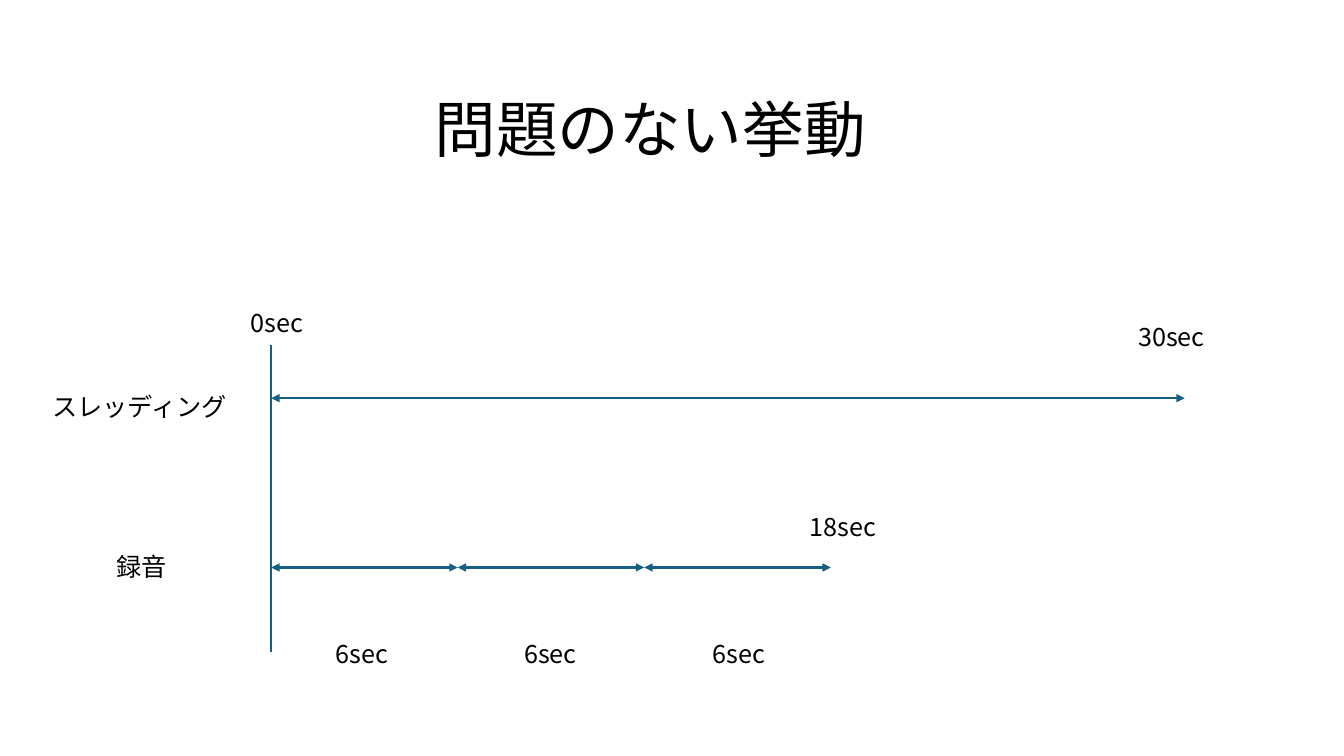
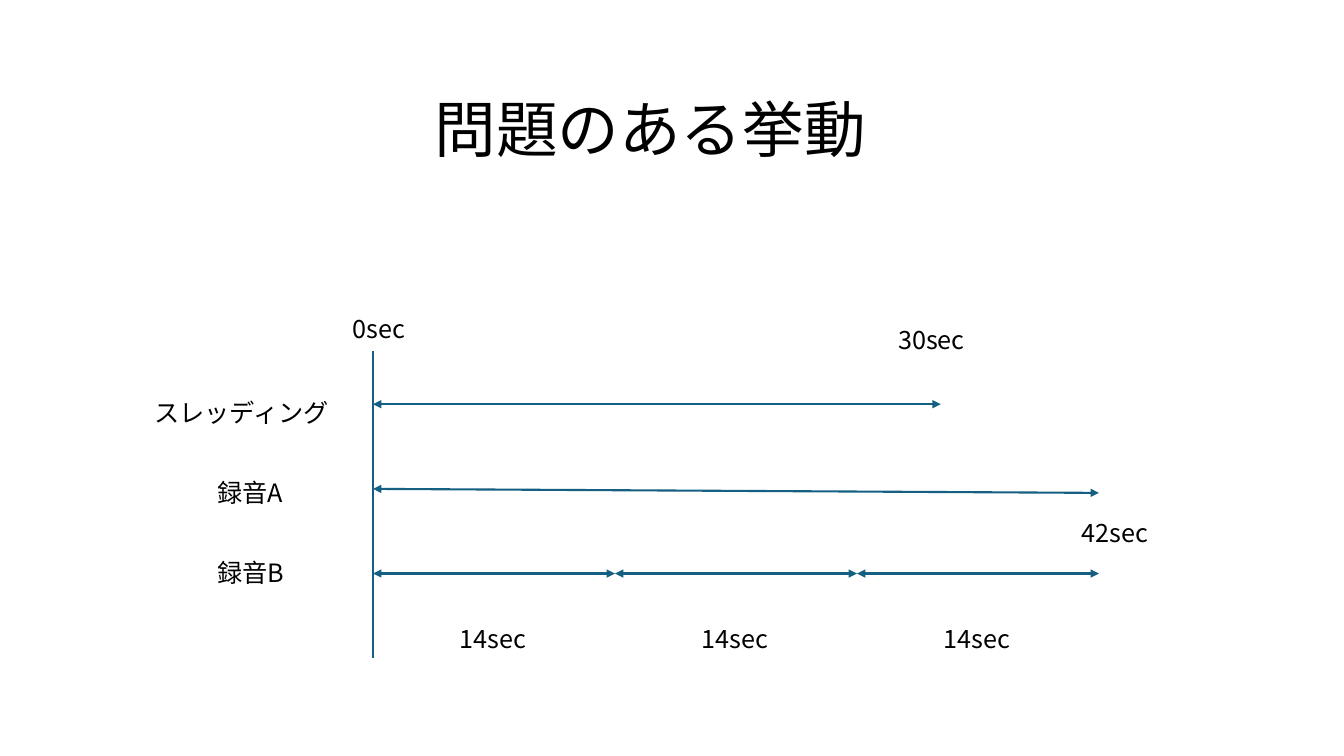
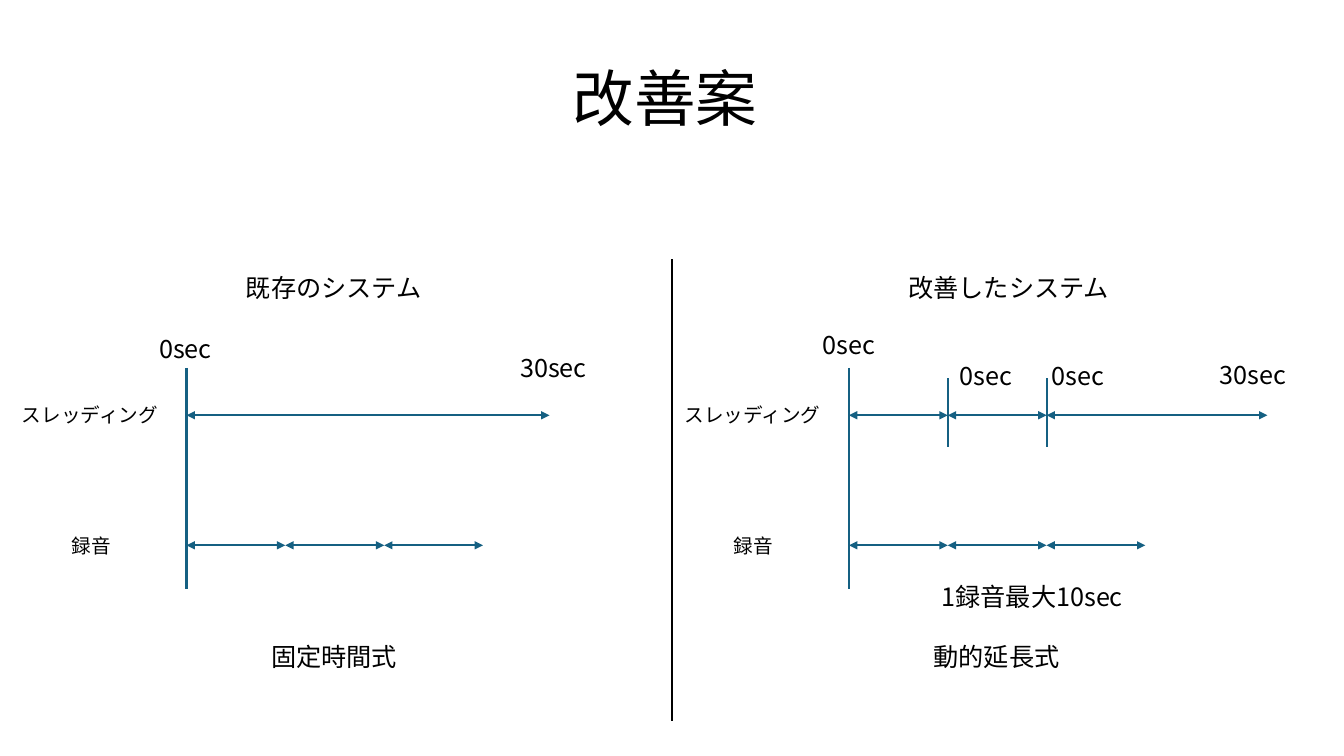
from itertools import accumulate, pairwise

from lxml.etree import SubElement
from pptx import Presentation
from pptx.dml.color import RGBColor
from pptx.enum.shapes import MSO_CONNECTOR
from pptx.enum.text import MSO_ANCHOR, MSO_AUTO_SIZE, PP_ALIGN
from pptx.oxml.ns import qn
from pptx.util import Inches, Pt

FONT = "Noto Sans CJK JP"
BLACK = RGBColor(0x00, 0x00, 0x00)
TEAL = RGBColor(0x15, 0x60, 0x82)
SLIDE_WIDTH, SLIDE_HEIGHT = 13.33, 7.5
TITLE_SIZE, LABEL_SIZE, SMALL_SIZE = 44, 18, 14
TITLE_HEIGHT, LABEL_HEIGHT = 0.84, 0.4
THREADING, RECORDING = "スレッディング", "録音"


def write(shape, text, size):
    frame = shape.text_frame
    frame.text = text
    frame.word_wrap = True
    frame.auto_size = MSO_AUTO_SIZE.NONE
    frame.vertical_anchor = MSO_ANCHOR.TOP
    paragraph = frame.paragraphs[0]
    paragraph.alignment = PP_ALIGN.LEFT
    font = paragraph.runs[0].font
    font.size = Pt(size)
    font.color.rgb = BLACK
    font.name = FONT
    SubElement(paragraph.runs[0].font._element, qn("a:ea"), typeface=FONT)


def add_titled_slide(presentation, text, left, top, width):
    slide = presentation.slides.add_slide(presentation.slide_layouts[5])
    title = slide.shapes.title
    title.left, title.top = Inches(left), Inches(top)
    title.width, title.height = Inches(width), Inches(TITLE_HEIGHT)
    write(title, text, TITLE_SIZE)
    return slide


def add_label(slide, text, left, top, size=LABEL_SIZE, width=None):
    """Without a width, the box fits its full-width characters."""
    width = width or len(text) * size / 72 + 0.22
    box = slide.shapes.add_textbox(
        Inches(left), Inches(top), Inches(width), Inches(LABEL_HEIGHT))
    write(box, text, size)


def add_seconds(slide, count, left, top):
    width = 0.74 if count < 10 else 0.88
    add_label(slide, f"{count}sec", left, top, width=width)


def add_line(slide, start, end, color=TEAL, arrows=False):
    points = [Inches(value) for value in (*start, *end)]
    connector = slide.shapes.add_connector(MSO_CONNECTOR.STRAIGHT, *points)
    connector.line.color.rgb = color
    connector.line.width = Pt(1.5)
    if arrows:
        outline = connector.line._get_or_add_ln()
        for end_name in ("a:headEnd", "a:tailEnd"):
            SubElement(outline, qn(end_name), type="triangle")
    SubElement(connector._element.spPr, qn("a:effectLst"))


def add_vertical(slide, x, top, bottom, color=TEAL):
    add_line(slide, (x, top), (x, bottom), color)


def add_spans(slide, left, y, *lengths):
    """Draws double-headed arrows end to end."""
    for start, end in pairwise(accumulate(lengths, initial=left)):
        add_line(slide, (start, y), (end, y), arrows=True)


def add_axis(slide, origin, top):
    """Draws the start line with its time and the threading label."""
    add_vertical(slide, origin, top, top + 3.05)
    add_seconds(slide, 0, origin - 0.3, top - 0.42)
    add_label(slide, THREADING, origin - 2.27, top + 0.41)


def build_normal_slide(presentation):
    slide = add_titled_slide(presentation, "問題のない挙動", 4.21, 0.85, 4.92)
    origin, step = 2.69, 1.85
    add_axis(slide, origin, 3.42)
    add_spans(slide, origin, 3.95, 9.06)
    add_spans(slide, origin, 5.63, step, step, step)
    add_label(slide, RECORDING, 1.06, 5.42)
    add_seconds(slide, 30, 11.19, 3.14)
    add_seconds(slide, 18, 7.93, 5.02)
    for index in range(3):
        add_seconds(slide, 6, 3.23 + index * 1.87, 6.28)


def build_problem_slide(presentation):
    slide = add_titled_slide(presentation, "問題のある挙動", 4.21, 0.85, 4.92)
    origin, step = 3.7, 2.4
    add_axis(slide, origin, 3.48)
    add_spans(slide, origin, 4.01, 5.63)
    add_line(slide, (origin, 4.85), (origin + 3 * step, 4.89), arrows=True)
    add_spans(slide, origin, 5.69, step, step, step)
    for suffix, top in (("A", 4.69), ("B", 5.48)):
        add_label(slide, RECORDING + suffix, 2.06, top, width=0.87)
    add_seconds(slide, 30, 8.81, 3.17)
    add_seconds(slide, 42, 10.63, 5.08)
    for index in range(3):
        add_seconds(slide, 14, 4.46 + index * step, 6.13)


def add_system_panel(slide, left, heading, method, step, threading_spans):
    origin = left + 1.85
    add_vertical(slide, origin, 3.65, 5.84)
    add_spans(slide, origin, 4.12, *threading_spans)
    add_spans(slide, origin, 5.41, step, step, step)
    add_label(slide, heading, left + 2.34, 2.65)
    add_label(slide, THREADING, left + 0.12, 3.95, SMALL_SIZE)
    add_label(slide, RECORDING, left + 0.61, 5.25, SMALL_SIZE)
    add_label(slide, method, left + 2.59, 6.31)


def build_improvement_slide(presentation):
    slide = add_titled_slide(presentation, "改善案", 5.58, 0.54, 2.17)
    step, right_panel = 0.98, 6.57
    add_vertical(slide, SLIDE_WIDTH / 2, 2.57, 7.15, BLACK)
    add_system_panel(slide, 0, "既存のシステム", "固定時間式", step, [3.6])
    add_system_panel(slide, right_panel, "改善したシステム", "動的延長式", step,
                     [step, step, 2.19])
    for restart in (9.4, 9.4 + step):
        add_vertical(slide, restart, 3.75, 4.43)
    for count, left, top in ((0, 1.48, 3.26), (30, 5.06, 3.45), (0, 8.06, 3.22),
                             (0, 9.42, 3.53), (0, 10.33, 3.53), (30, 12, 3.52)):
        add_seconds(slide, count, left, top)
    add_label(slide, "1録音最大10sec", 9.24, 5.72, width=2.03)


def main():
    presentation = Presentation()
    presentation.slide_width = Inches(SLIDE_WIDTH)
    presentation.slide_height = Inches(SLIDE_HEIGHT)
    build_normal_slide(presentation)
    build_problem_slide(presentation)
    build_improvement_slide(presentation)
    presentation.save("out.pptx")


if __name__ == "__main__":
    main()
